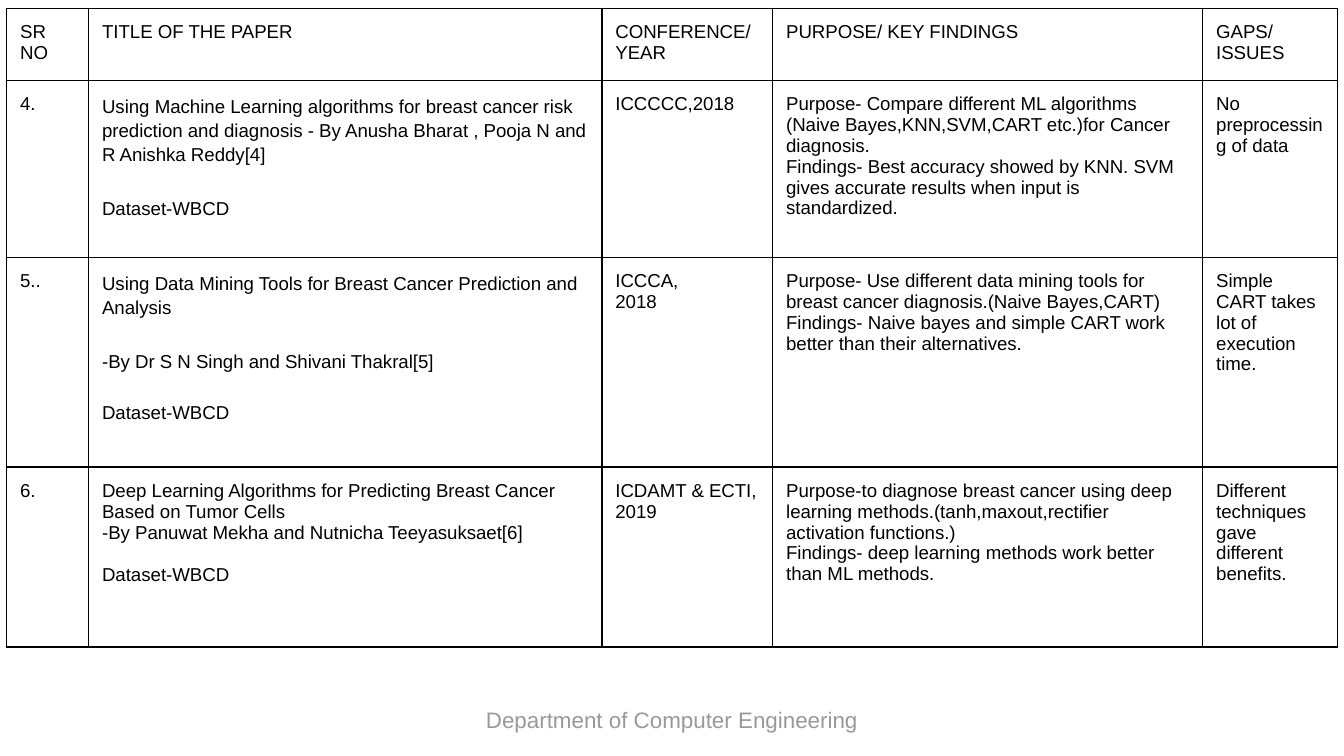
"""Build a literature survey slide with a table of papers and a department footer."""
from dataclasses import dataclass

import pptx
import pptx.dml.color
import pptx.enum.text
import pptx.oxml
import pptx.oxml.ns
import pptx.util
from pptx.util import Pt

BLACK = pptx.dml.color.RGBColor(0x00, 0x00, 0x00)
WHITE = pptx.dml.color.RGBColor(0xFF, 0xFF, 0xFF)
GRAY = pptx.dml.color.RGBColor(0x99, 0x99, 0x99)
FONT = "Arial"
INSET = 7.2
COL_WIDTHS = (43.9, 275, 91.5, 230.4, 72)
ROW_HEIGHTS = (36.4, 94.8, 112.4, 96.4)
HEADINGS = ("SR NO", "TITLE OF THE PAPER", "CONFERENCE/YEAR",
            "PURPOSE/ KEY FINDINGS", "GAPS/ ISSUES")


@dataclass(frozen=True)
class Para:
    text: str
    before: float = 0
    spacing: float = 1.0


@dataclass(frozen=True)
class Paper:
    number: str
    title: tuple[Para, ...]
    venue: tuple[Para, ...]
    findings: tuple[Para, ...]
    gaps: str


PAPERS = (
    Paper("4.",
          (Para("Using Machine Learning algorithms for breast cancer risk prediction and "
                "diagnosis - By Anusha Bharat , Pooja N and R Anishka Reddy[4]", 0, 1.15),
           Para("Dataset-WBCD", 16, 1.15)),
          (Para("ICCCCC,2018"),),
          (Para("Purpose- Compare different ML algorithms (Naive Bayes,KNN,SVM,CART etc.)"
                "for Cancer diagnosis."),
           Para("Findings- Best accuracy showed by KNN. SVM gives accurate results when "
                "input is standardized.")),
          "No preprocessing of data"),
    Paper("5..",
          (Para("Using Data Mining Tools for Breast Cancer Prediction and Analysis", 0, 1.15),
           Para("-By Dr S N Singh and Shivani Thakral[5]", 16, 1.15),
           Para("Dataset-WBCD", 16)),
          (Para("ICCCA,"), Para("2018")),
          (Para("Purpose- Use different data mining tools for breast cancer diagnosis."
                "(Naive Bayes,CART)"),
           Para("Findings- Naive bayes and simple CART work better than their alternatives.")),
          "Simple CART takes lot of execution time."),
    Paper("6.",
          (Para("Deep Learning Algorithms for Predicting Breast Cancer Based on Tumor Cells"),
           Para("-By Panuwat Mekha and Nutnicha Teeyasuksaet[6]"),
           Para("Dataset-WBCD", 11.3)),
          (Para("ICDAMT & ECTI, 2019"),),
          (Para("Purpose-to diagnose breast cancer using deep learning methods."
                "(tanh,maxout,rectifier activation functions.)"),
           Para("Findings- deep learning methods work better than ML methods.")),
          "Different techniques gave different benefits."),
)


def format_runs(p, size: float, color: pptx.dml.color.RGBColor) -> None:
    for r in p.runs:
        r.font.name = FONT
        r.font.size = Pt(size)
        r.font.color.rgb = color


def set_margins(box) -> None:
    box.margin_left = box.margin_right = Pt(INSET)
    box.margin_top = box.margin_bottom = Pt(INSET)


def add_borders(cell) -> None:
    tc_pr = cell._tc.get_or_add_tcPr()
    for i, side in enumerate(("lnL", "lnR", "lnT", "lnB")):
        tc_pr.insert(i, pptx.oxml.parse_xml(
            f'<a:{side} {pptx.oxml.ns.nsdecls("a")} w="{Pt(0.75)}">'
            f'<a:solidFill><a:srgbClr val="{BLACK}"/></a:solidFill></a:{side}>'))


def fill_cell(cell, paras: tuple[Para, ...]) -> None:
    set_margins(cell)
    cell.fill.solid()
    cell.fill.fore_color.rgb = WHITE
    add_borders(cell)
    tf = cell.text_frame
    tf.text = "\n".join(para.text for para in paras)
    for p, para in zip(tf.paragraphs, paras):
        p.space_before = Pt(para.before)
        p.line_spacing = para.spacing
        format_runs(p, 10, BLACK)


def add_paper_table(s, left: float, top: float) -> None:
    rows = [tuple((Para(h),) for h in HEADINGS)]
    rows += [((Para(x.number),), x.title, x.venue, x.findings, (Para(x.gaps),))
             for x in PAPERS]
    table = s.shapes.add_table(len(rows), len(COL_WIDTHS), Pt(left), Pt(top),
                               Pt(sum(COL_WIDTHS)), Pt(sum(ROW_HEIGHTS))).table
    table.first_row = table.horz_banding = False
    for column, width in zip(table.columns, COL_WIDTHS):
        column.width = Pt(width)
    for row, height, contents in zip(table.rows, ROW_HEIGHTS, rows):
        row.height = Pt(height)
        for cell, paras in zip(row.cells, contents):
            fill_cell(cell, paras)


def add_footer(s, text: str) -> None:
    sp = s.shapes.add_textbox(Pt(164), Pt(371), Pt(392), Pt(22.3))
    tf = sp.text_frame
    tf.word_wrap = True
    set_margins(tf)
    tf.text = text
    p = tf.paragraphs[0]
    p.alignment = pptx.enum.text.PP_ALIGN.CENTER
    format_runs(p, 12, GRAY)


def main() -> None:
    prs = pptx.Presentation()
    prs.slide_width, prs.slide_height = Pt(720), Pt(405)
    s = prs.slides.add_slide(prs.slide_layouts[6])
    add_footer(s, "Department of Computer Engineering")
    add_paper_table(s, 3.6, 4.6)
    prs.save("out.pptx")


if __name__ == "__main__":
    main()
